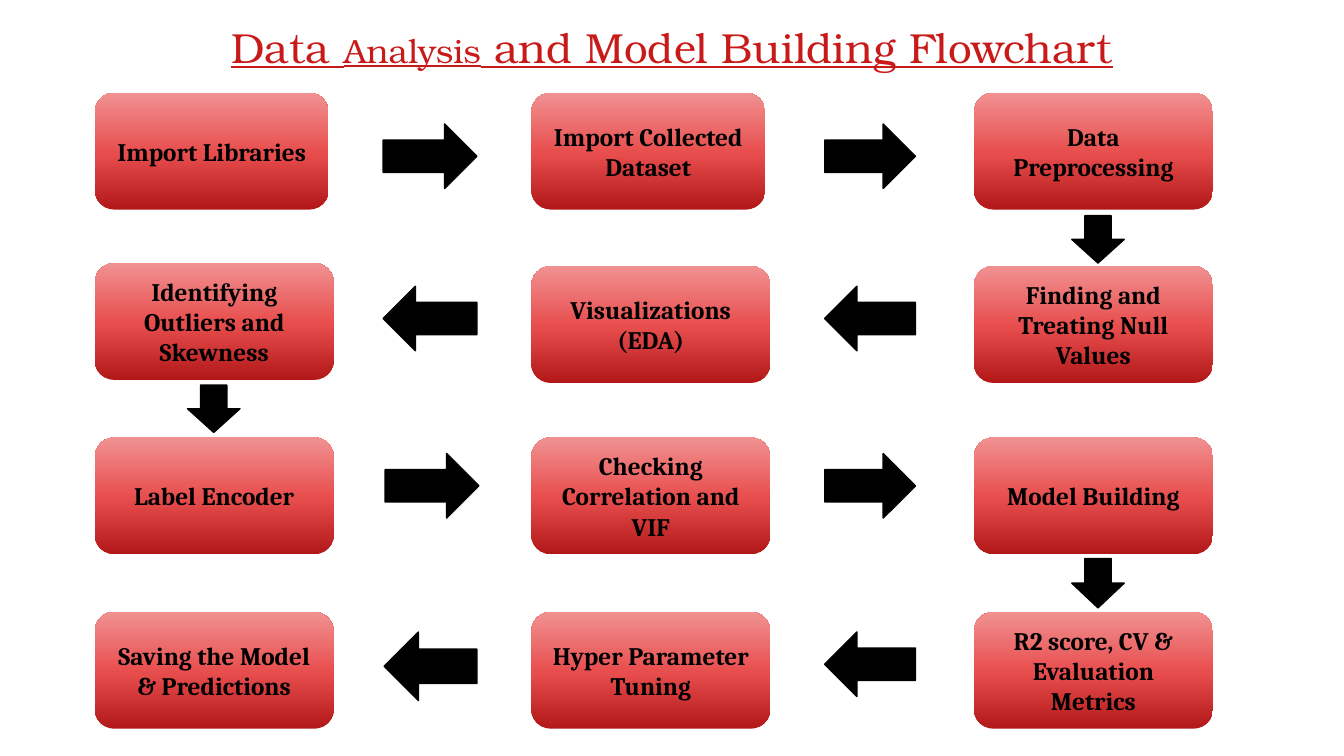
from copy import deepcopy

from pptx import Presentation
from pptx.dml.color import RGBColor
from pptx.enum.shapes import MSO_SHAPE as Shape
from pptx.enum.text import MSO_ANCHOR as Anchor, MSO_AUTO_SIZE as AutoSize, PP_ALIGN as Align
from pptx.oxml.ns import qn
from pptx.util import Pt

PX = 9144
BLACK = RGBColor(0x00, 0x00, 0x00)
TITLE_RED = RGBColor(0xC9, 0x1A, 0x1A)
DARK_RED = RGBColor(0xB3, 0x18, 0x18)
MID_RED = RGBColor(0xE8, 0x4D, 0x4D)
LIGHT_RED = RGBColor(0xF1, 0x91, 0x91)
GRADIENT = [(0, DARK_RED), (0.48, MID_RED), (1, LIGHT_RED)]

COLUMNS = [94, 527, 966]
ROWS = [92, 264, 434, 607]
STEP_WIDTH, STEP_HEIGHT = 237, 116
STEPS = [
    ["Import Libraries", "Import Collected Dataset", "Data Preprocessing"],
    ["Identifying Outliers and Skewness", "Visualizations\n(EDA)", "Finding and Treating Null Values"],
    ["Label Encoder", "Checking Correlation and VIF", "Model Building"],
    ["Saving the Model & Predictions", "Hyper Parameter Tuning", "R2 score, CV & Evaluation Metrics"],
]
STEP_WIDTHS = {(0, 0): 232, (0, 1): 232}
STEP_TOPS = {(1, 0): 261}

ARROWS = [
    (Shape.RIGHT_ARROW, 380, 123, 93, 64),
    (Shape.RIGHT_ARROW, 818, 123, 90, 64),
    (Shape.DOWN_ARROW, 1063, 214, 52, 47),
    (Shape.LEFT_ARROW, 818, 284, 90, 64),
    (Shape.LEFT_ARROW, 380, 284, 93, 64),
    (Shape.DOWN_ARROW, 186, 382, 52, 47),
    (Shape.RIGHT_ARROW, 382, 450, 93, 64),
    (Shape.RIGHT_ARROW, 818, 450, 90, 64),
    (Shape.DOWN_ARROW, 1063, 554, 52, 49),
    (Shape.LEFT_ARROW, 818, 627, 90, 64),
    (Shape.LEFT_ARROW, 381, 627, 92, 68),
]


def add_block(kind, left, top, width, height):
    block = page.shapes.add_shape(kind, left * PX, top * PX, width * PX, height * PX)
    block.shadow.inherit = False
    return block


def add_span(para, text, font_name, size, color):
    span = para.add_run()
    span.text = text
    span.font.name = font_name
    span.font.size = Pt(size)
    span.font.color.rgb = color
    return span


deck = Presentation()
deck.slide_width = 1333 * PX
deck.slide_height = 750 * PX
page = deck.slides.add_slide(deck.slide_layouts[6])

title = page.shapes.add_textbox(0, 16 * PX, 1333 * PX, 61 * PX)
title.text_frame.word_wrap = True
title.text_frame.auto_size = AutoSize.SHAPE_TO_FIT_TEXT
heading = title.text_frame.paragraphs[0]
heading.alignment = Align.CENTER
for text, size in [("Data ", 30), ("Analysis", 24), (" and Model Building Flowchart", 30)]:
    span = add_span(heading, text, "TeX Gyre Bonum", size, TITLE_RED)
    span.font.underline = True

for kind, left, top, width, height in ARROWS:
    arrow = add_block(kind, left, top, width, height)
    arrow.fill.solid()
    arrow.fill.fore_color.rgb = BLACK
    arrow.line.color.rgb = BLACK
    arrow.line.width = Pt(1)

for row, labels in enumerate(STEPS):
    for column, label in enumerate(labels):
        cell = (row, column)
        step = add_block(
            Shape.FLOWCHART_ALTERNATE_PROCESS,
            COLUMNS[column],
            STEP_TOPS.get(cell, ROWS[row]),
            STEP_WIDTHS.get(cell, STEP_WIDTH),
            STEP_HEIGHT,
        )
        step.line.fill.background()
        step.fill.gradient()
        step.fill.gradient_angle = 90
        stop_list = step._element.spPr.find(qn("a:gradFill")).find(qn("a:gsLst"))
        stop_list.append(deepcopy(stop_list[0]))
        for stop, (position, color) in zip(step.fill.gradient_stops, GRADIENT):
            stop.position = position
            stop.color.rgb = color

        frame = step.text_frame
        frame.word_wrap = True
        frame.vertical_anchor = Anchor.MIDDLE
        for index, line in enumerate(label.split("\n")):
            para = frame.add_paragraph() if index else frame.paragraphs[0]
            para.alignment = Align.CENTER
            span = add_span(para, line, "Cambria", 18, BLACK)
            span.font.bold = True

deck.save("out.pptx")
